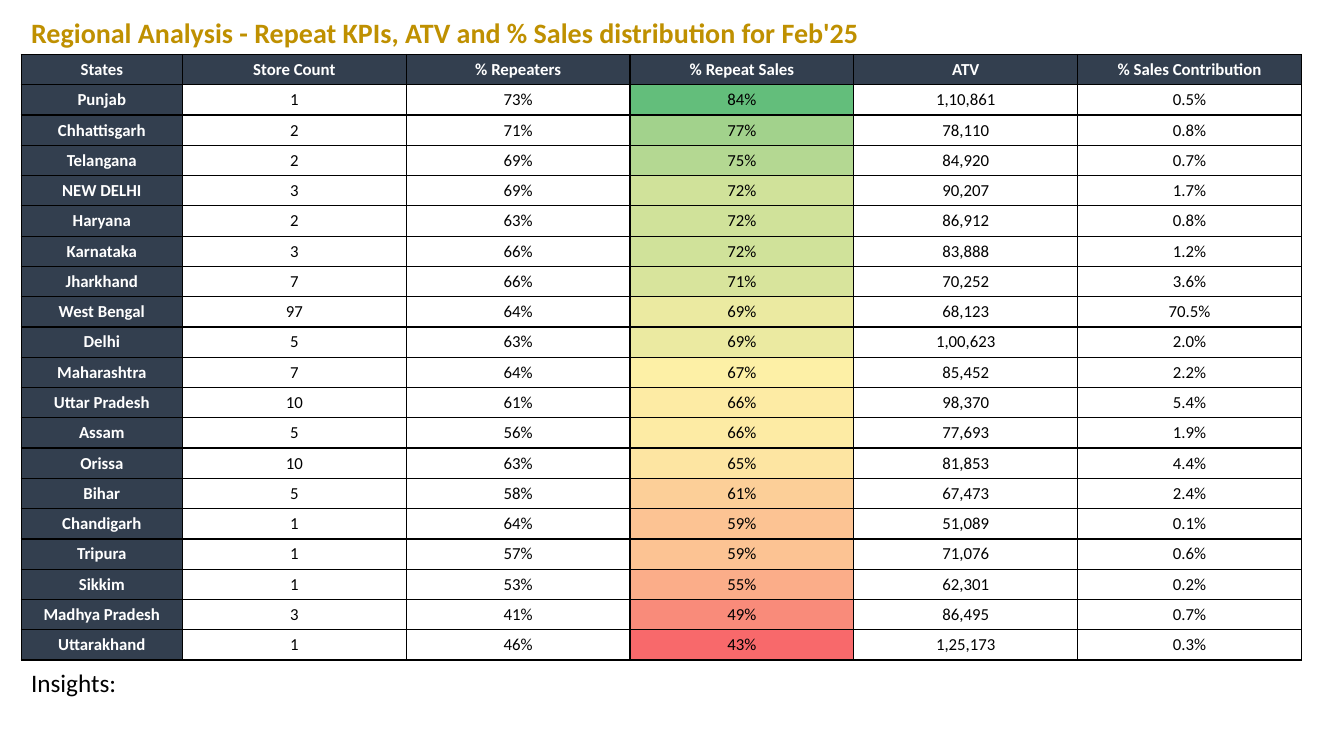
from dataclasses import astuple, dataclass

from lxml.etree import SubElement
from pptx import Presentation
from pptx.dml.color import RGBColor
from pptx.enum.text import MSO_ANCHOR as Anchor, MSO_AUTO_SIZE as Fit, PP_ALIGN as Align
from pptx.oxml.ns import qn
from pptx.slide import Slide
from pptx.table import _Cell as Cell
from pptx.text.text import TextFrame
from pptx.util import Inches, Pt

NAVY, WHITE, BLACK, GOLD = "333F4F", "FFFFFF", "000000", "BF9000"
LEFT, TOP = 0.21, 0.54
WIDTHS = [1.6] + [2.22] * 5
ROW_H = 0.23
HEADS = ("States", "Store Count", "% Repeaters", "% Repeat Sales", "ATV",
         "% Sales Contribution")
HEAT_COL = HEADS.index("% Repeat Sales")
HEAT = {
    "84%": "63BE7B", "77%": "A2D28C", "75%": "B4D892", "72%": "D0E29A",
    "71%": "D8E49C", "69%": "EBEAA1", "67%": "FDF0A6", "66%": "FDEBA4",
    "65%": "FDE5A2", "61%": "FCCF98", "59%": "FCC393", "55%": "FBAD89",
    "49%": "F98B7A", "43%": "F8696B",
}


@dataclass
class State:
    name: str
    stores: str
    buyers: str
    sales: str
    atv: str
    share: str


STATES = [
    State("Punjab", "1", "73%", "84%", "1,10,861", "0.5%"),
    State("Chhattisgarh", "2", "71%", "77%", "78,110", "0.8%"),
    State("Telangana", "2", "69%", "75%", "84,920", "0.7%"),
    State("NEW DELHI", "3", "69%", "72%", "90,207", "1.7%"),
    State("Haryana", "2", "63%", "72%", "86,912", "0.8%"),
    State("Karnataka", "3", "66%", "72%", "83,888", "1.2%"),
    State("Jharkhand", "7", "66%", "71%", "70,252", "3.6%"),
    State("West Bengal", "97", "64%", "69%", "68,123", "70.5%"),
    State("Delhi", "5", "63%", "69%", "1,00,623", "2.0%"),
    State("Maharashtra", "7", "64%", "67%", "85,452", "2.2%"),
    State("Uttar Pradesh", "10", "61%", "66%", "98,370", "5.4%"),
    State("Assam", "5", "56%", "66%", "77,693", "1.9%"),
    State("Orissa", "10", "63%", "65%", "81,853", "4.4%"),
    State("Bihar", "5", "58%", "61%", "67,473", "2.4%"),
    State("Chandigarh", "1", "64%", "59%", "51,089", "0.1%"),
    State("Tripura", "1", "57%", "59%", "71,076", "0.6%"),
    State("Sikkim", "1", "53%", "55%", "62,301", "0.2%"),
    State("Madhya Pradesh", "3", "41%", "49%", "86,495", "0.7%"),
    State("Uttarakhand", "1", "46%", "43%", "1,25,173", "0.3%"),
]


def color(code: str) -> RGBColor:
    return RGBColor.from_string(code)


def write(frame: TextFrame, text: str, *, size: float = 12, ink: str = BLACK,
          bold: bool = False, align: Align = Align.LEFT) -> None:
    para = frame.paragraphs[0]
    para.alignment = align
    run = para.add_run()
    run.text = text
    font = run.font
    font.name, font.size, font.bold = "Calibri", Pt(size), bold
    font.color.rgb = color(ink)


def add_label(slide: Slide, text: str, top: float, width: float, height: float,
              *, size: float, ink: str = BLACK, bold: bool = False) -> None:
    box = slide.shapes.add_textbox(Inches(LEFT), Inches(top), Inches(width), Inches(height))
    frame = box.text_frame
    frame.word_wrap = True
    frame.auto_size = Fit.SHAPE_TO_FIT_TEXT
    write(frame, text, size=size, ink=ink, bold=bold)


def add_border(cell: Cell) -> None:
    props = cell._tc.get_or_add_tcPr()
    for side in ("L", "R", "T", "B"):
        line = SubElement(props, qn(f"a:ln{side}"), w=str(Pt(1)))
        fill = SubElement(line, qn("a:solidFill"))
        SubElement(fill, qn("a:srgbClr"), val=BLACK)


def fill_cell(cell: Cell, text: str, row: int, col: int) -> None:
    head = row == 0 or col == 0
    back = NAVY if head else HEAT[text] if col == HEAT_COL else WHITE
    add_border(cell)
    cell.fill.solid()
    cell.fill.fore_color.rgb = color(back)
    cell.vertical_anchor = Anchor.MIDDLE
    write(cell.text_frame, text, ink=WHITE if head else BLACK, bold=head,
          align=Align.CENTER)


def add_grid(slide: Slide) -> None:
    rows = [HEADS] + [astuple(state) for state in STATES]
    table = slide.shapes.add_table(
        len(rows), len(HEADS), Inches(LEFT), Inches(TOP),
        Inches(sum(WIDTHS)), Inches(ROW_H * len(rows))).table
    table.horz_banding = False
    for column, width in zip(table.columns, WIDTHS):
        column.width = Inches(width)
    for r, values in enumerate(rows):
        table.rows[r].height = Inches(ROW_H)
        for c, text in enumerate(values):
            fill_cell(table.cell(r, c), text, r, c)


def main() -> None:
    deck = Presentation()
    deck.slide_width, deck.slide_height = Inches(13.33), Inches(7.5)
    slide = deck.slides.add_slide(deck.slide_layouts[6])
    add_label(slide, "Insights:", 6.57, 12.92, 0.4, size=18)
    add_label(slide, "Regional Analysis - Repeat KPIs, ATV and % Sales distribution for Feb'25",
              0.1, 12.48, 0.44, size=20, ink=GOLD, bold=True)
    add_grid(slide)
    deck.save("out.pptx")


if __name__ == "__main__":
    main()
